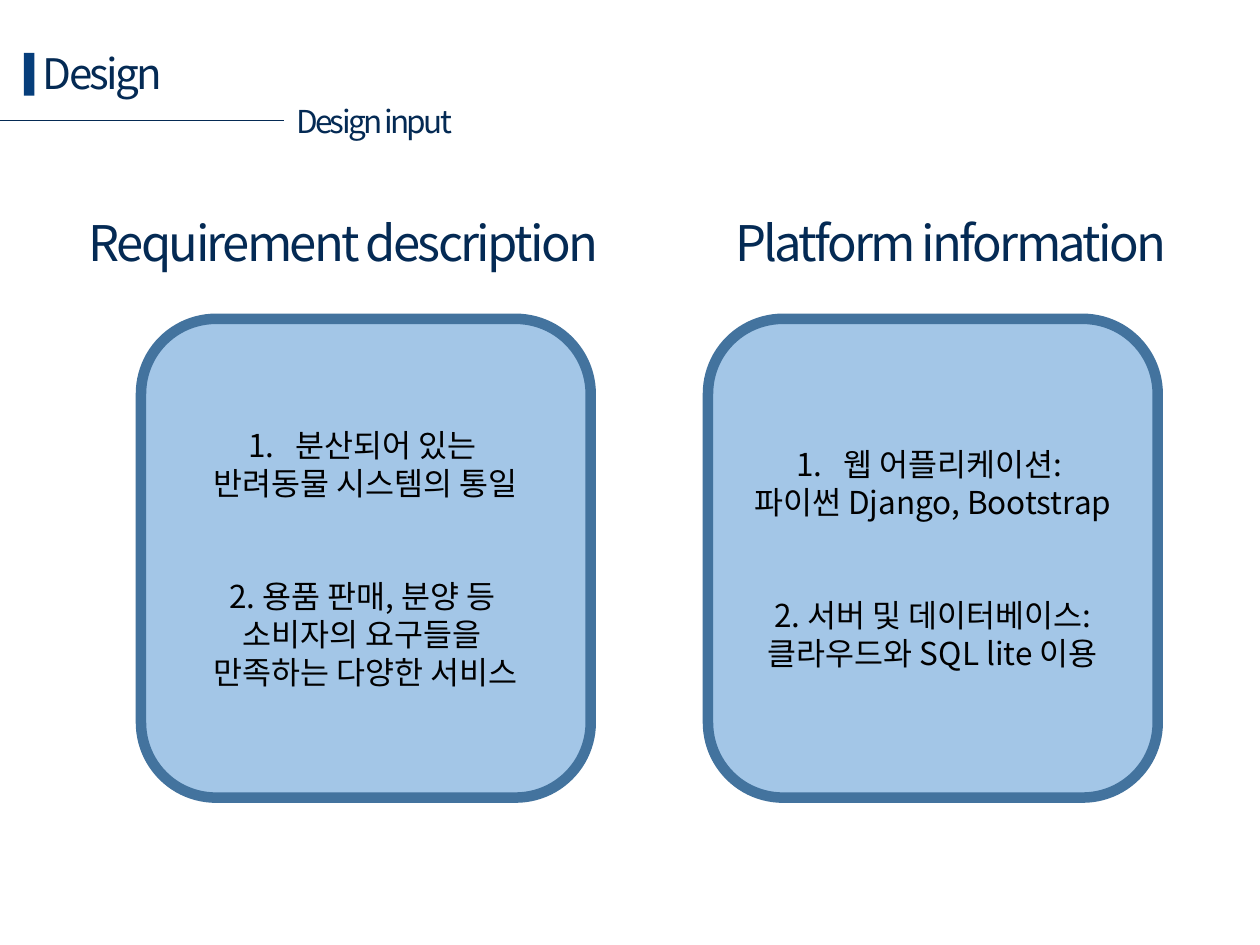
from lxml.etree import SubElement
from pptx import Presentation
from pptx.dml.color import RGBColor
from pptx.enum.shapes import MSO_CONNECTOR as CONN, MSO_SHAPE as SHAPE
from pptx.enum.text import MSO_ANCHOR as ANCHOR, MSO_AUTO_SIZE as AUTO, PP_ALIGN as ALIGN
from pptx.oxml.ns import qn
from pptx.util import Pt

COLORS = {"navy": "042A54", "bar": "063E7B", "panel": "5B9BD5",
          "border": "43739E", "text": "000000"}
FONT = "Noto Sans CJK KR"


def rgb(name):
    return RGBColor.from_string(COLORS[name])


def write(p, text, size=18, color="text", align=ALIGN.CENTER, spacing=0, before=0, numbered=False):
    p.alignment = align
    if before:
        p.space_before = Pt(before)
    if numbered:
        pPr = p._p.get_or_add_pPr()
        pPr.set("marL", str(Pt(27)))
        pPr.set("indent", str(-Pt(27)))
        SubElement(pPr, qn("a:buFont"), typeface="+mj-lt")
        SubElement(pPr, qn("a:buAutoNum"), type="arabicPeriod")
    r = p.add_run()
    r.text = text
    r.font.name, r.font.size = FONT, Pt(size)
    r.font.color.rgb = rgb(color)
    rPr = r._r.get_or_add_rPr()
    SubElement(rPr, qn("a:ea"), typeface=FONT)
    if spacing:
        rPr.set("spc", str(int(spacing * 100)))


class Deck:
    def __init__(self, prs):
        self.slide = prs.slides.add_slide(prs.slide_layouts[5])
        self.shapes = self.slide.shapes

    def heading(self, sp, text, size, align=ALIGN.CENTER):
        tf = sp.text_frame
        tf.word_wrap, tf.auto_size = False, AUTO.NONE
        tf.vertical_anchor = ANCHOR.TOP
        write(tf.paragraphs[0], text, size=size, color="navy", align=align, spacing=-1.5)
        return sp

    def title(self, text, x, y, w, h, size):
        sp = self.shapes.title
        sp.left, sp.top, sp.width, sp.height = Pt(x), Pt(y), Pt(w), Pt(h)
        return self.heading(sp, text, size, ALIGN.LEFT)

    def label(self, text, x, y, w, h, size):
        return self.heading(self.shapes.add_textbox(Pt(x), Pt(y), Pt(w), Pt(h)), text, size)

    def box(self, kind, x, y, w, h, fill):
        sp = self.shapes.add_shape(kind, Pt(x), Pt(y), Pt(w), Pt(h))
        sp.shadow.inherit = False
        sp.fill.solid()
        sp.fill.fore_color.rgb = rgb(fill)
        sp.line.fill.background()
        return sp

    def panel(self, items, x, y, w, h):
        sp = self.box(SHAPE.ROUNDED_RECTANGLE, x, y, w, h, "panel")
        color = sp._element.spPr.find(qn("a:solidFill"))[0]
        SubElement(color, qn("a:alpha"), val="56000")
        sp.line.color.rgb, sp.line.width = rgb("border"), Pt(6)
        tf = sp.text_frame
        tf.word_wrap, tf.vertical_anchor = True, ANCHOR.MIDDLE
        for i, lines in enumerate(items):
            for j, line in enumerate(lines):
                first = i == j == 0
                p = tf.paragraphs[0] if first else tf.add_paragraph()
                write(p, line, numbered=first, before=43 if i and j == 0 else 0)

    def rule_to(self, sp, x, y):
        c = self.shapes.add_connector(CONN.STRAIGHT, Pt(x), Pt(y), sp.left, Pt(y))
        c.end_connect(sp, 1)
        c.line.color.rgb, c.line.width = rgb("navy"), Pt(0.5)
        SubElement(c._element.spPr, qn("a:effectLst"))


def main():
    prs = Presentation()
    prs.slide_width, prs.slide_height = Pt(720), Pt(540)
    deck = Deck(prs)
    deck.title("Design", 17.3, 23.8, 90, 36, 24)
    deck.box(SHAPE.RECTANGLE, 13.7, 30.2, 6, 24.5, "bar")
    subtitle = deck.label("Design input", 162, 54.7, 103.6, 28.8, 18)
    deck.rule_to(subtitle, 0, 69.1)

    columns = [
        ("Requirement description", 42.5, 307.5,
         [["분산되어 있는 ", "반려동물 시스템의 통일"],
          ["2. 용품 판매, 분양 등 ", "소비자의 요구들을 ", "만족하는 다양한 서비스"]]),
        ("Platform information", 396, 294.5,
         [["웹 어플리케이션: ", "파이썬 Django, Bootstrap"],
          ["2. 서버 및 데이터베이스: 클라우드와 SQL lite 이용"]]),
    ]
    for i, (name, x, w, items) in enumerate(columns):
        deck.label(name, x, 118, w, 41, 28)
        deck.panel(items, 80.6 + 324 * i, 182.2, 257, 273.6)
    prs.save("out.pptx")


if __name__ == "__main__":
    main()
